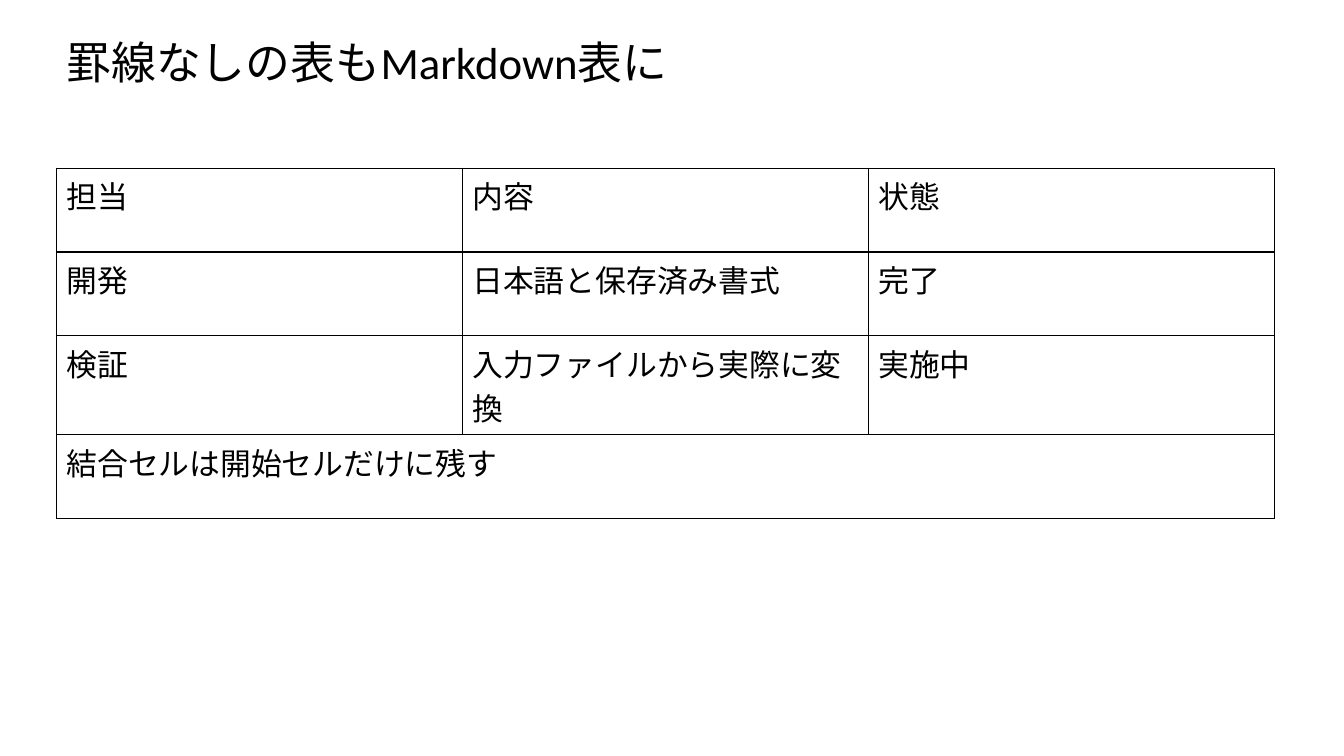
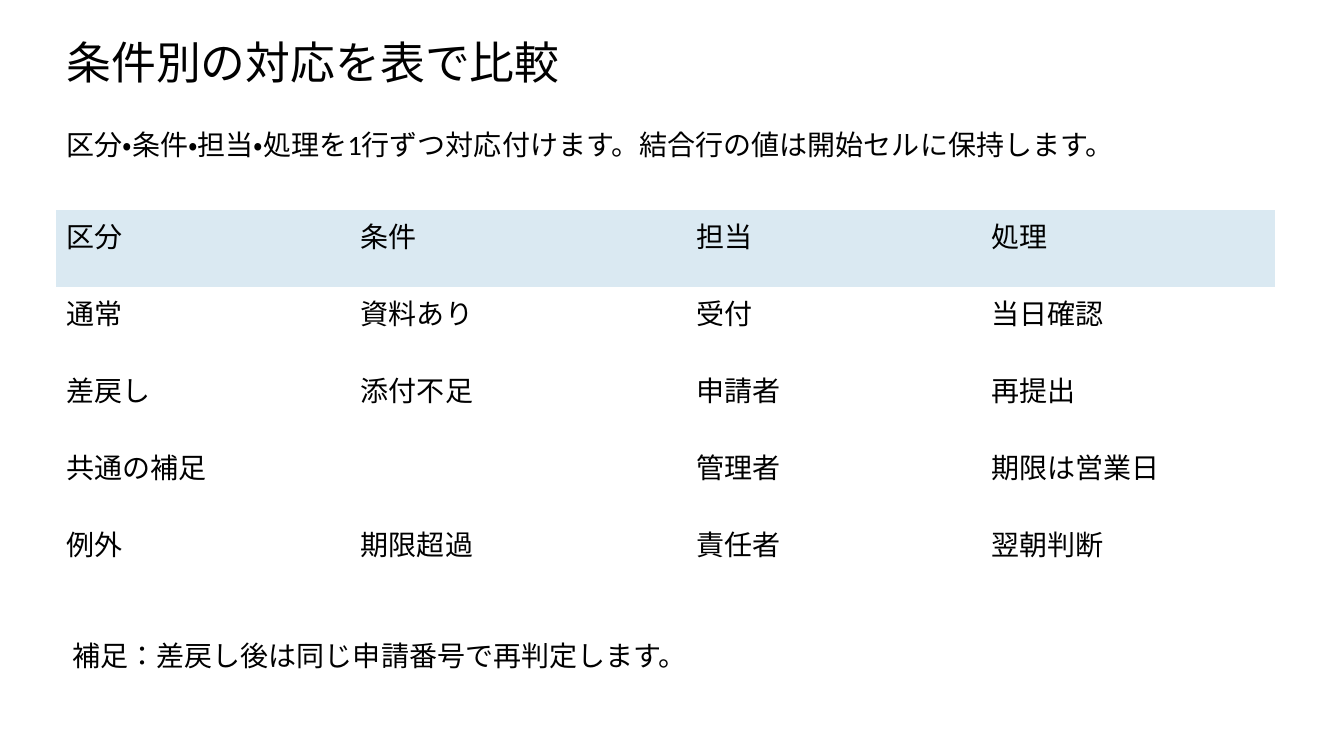
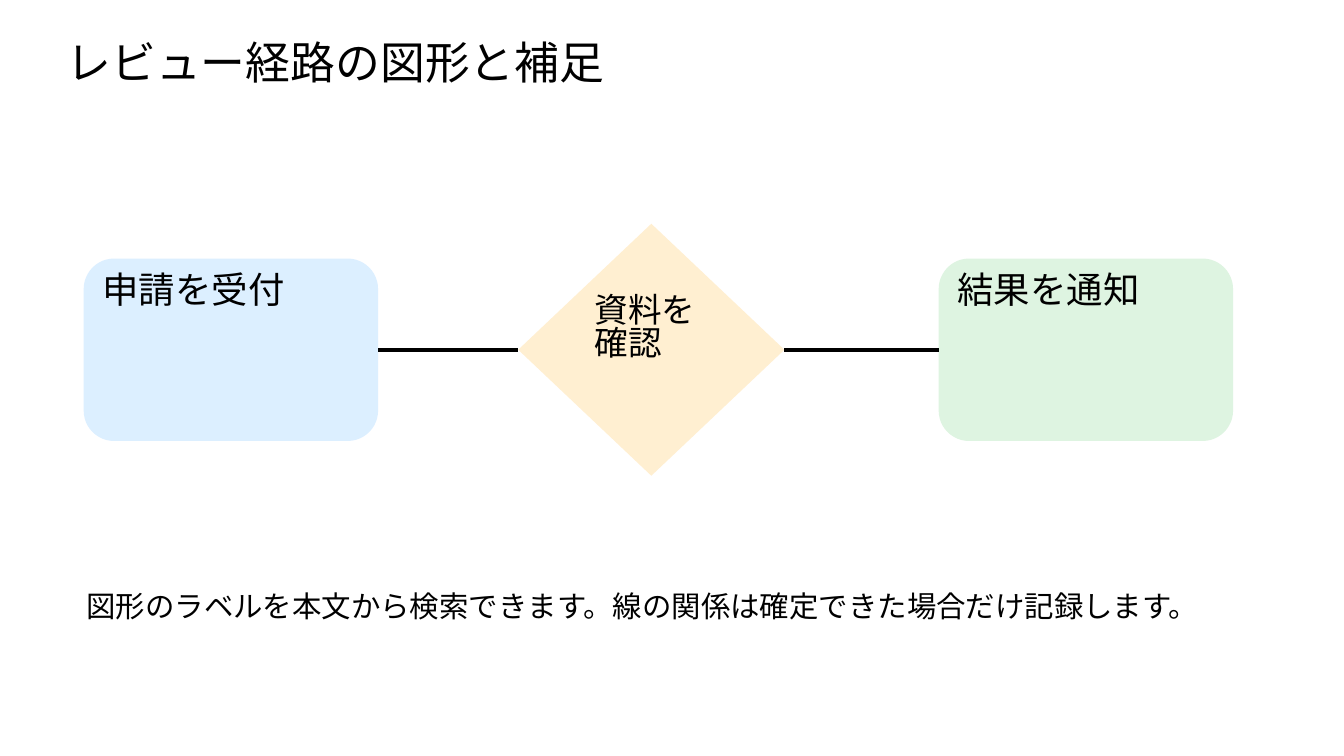
from dataclasses import dataclass

from lxml import etree
from pptx import Presentation
from pptx.dml.color import RGBColor
from pptx.enum.lang import MSO_LANGUAGE_ID
from pptx.enum.shapes import MSO_CONNECTOR, MSO_SHAPE
from pptx.enum.text import MSO_ANCHOR, MSO_AUTO_SIZE, PP_ALIGN
from pptx.oxml import parse_xml
from pptx.oxml.ns import nsdecls, qn
from pptx.util import Inches, Pt

STRAIGHT = MSO_CONNECTOR.STRAIGHT
ROUNDED = MSO_SHAPE.ROUNDED_RECTANGLE
DIAMOND = MSO_SHAPE.DIAMOND
TOP = MSO_ANCHOR.TOP
LEFT = PP_ALIGN.LEFT
NO_AUTOFIT = MSO_AUTO_SIZE.NONE
JAPANESE = MSO_LANGUAGE_ID.JAPANESE
TITLE_ONLY = 5
LEFT_SITE, RIGHT_SITE = 1, 3
PLAIN_TABLE_STYLE = "{2D5ABB26-0587-4C30-8999-92F81FD0307C}"


@dataclass(frozen=True)
class Theme:
    font: str = "Calibri"
    ink: str = "000000"
    header: str = "DAE9F2"
    intake: str = "DCEFFF"
    check: str = "FFEFD1"
    result: str = "DEF4E1"
    title_size: int = 32
    step_size: int = 26
    check_size: int = 24
    grid_size: int = 22
    caption_size: int = 21
    body_size: int = 20
    line_spacing: float = 0.9
    tight_spacing: float = 0.82
    margin: float = 0.56
    table_width: float = 12.08


THEME = Theme()


# Text
def write(frame, text, size, spacing=None):
    frame.text = text
    paragraph = frame.paragraphs[0]
    paragraph.alignment = LEFT
    if spacing:
        paragraph.line_spacing = spacing
    for run in paragraph.runs:
        font = run.font
        font.name = THEME.font
        font.size = Pt(size)
        font.color.rgb = RGBColor.from_string(THEME.ink)
        font.language_id = JAPANESE


def write_body(frame, text, size, spacing=THEME.line_spacing):
    frame.word_wrap = True
    frame.auto_size = NO_AUTOFIT
    frame.vertical_anchor = TOP
    write(frame, text, size, spacing)


def add_titled_slide(prs, text):
    slide = prs.slides.add_slide(prs.slide_layouts[TITLE_ONLY])
    title = slide.shapes.title
    title.left, title.top = Inches(THEME.margin), Inches(0.35)
    title.width, title.height = Inches(12.22), Inches(0.83)
    write_body(title.text_frame, text, THEME.title_size)
    return slide


def add_caption(slide, text, left, top, width, height, size=THEME.body_size):
    caption = slide.shapes.add_textbox(
        Inches(left), Inches(top), Inches(width), Inches(height))
    write_body(caption.text_frame, text, size)


# Tables
def add_borders(cell):
    properties = cell._tc.get_or_add_tcPr()
    for position, side in enumerate(("lnL", "lnR", "lnT", "lnB")):
        properties.insert(position, parse_xml(
            f'<a:{side} {nsdecls("a")} w="{Pt(1)}"><a:solidFill>'
            f'<a:srgbClr val="{THEME.ink}"/></a:solidFill></a:{side}>'))


def add_plain_table(slide, rows, top, widths, row_height, size,
                    merge, header_fill=None, bordered=False):
    """Build a table; merge is (row, first column, last column)."""
    table = slide.shapes.add_table(
        len(rows), len(widths), Inches(THEME.margin), Inches(top),
        Inches(sum(widths)), Inches(row_height * len(rows))).table
    table.first_row = table.horz_banding = False
    table._tbl.tblPr.find(qn("a:tableStyleId")).text = PLAIN_TABLE_STYLE
    for column, width in zip(table.columns, widths):
        column.width = Inches(width)
    for r, values in enumerate(rows):
        table.rows[r].height = Inches(row_height)
        for c, value in enumerate(values):
            cell = table.cell(r, c)
            if value:
                write(cell.text_frame, value, size)
            if r == 0 and header_fill:
                cell.fill.solid()
                cell.fill.fore_color.rgb = RGBColor.from_string(header_fill)
            else:
                cell.fill.background()
            if bordered:
                add_borders(cell)
    row, first, last = merge
    table.cell(row, first).merge(table.cell(row, last))


# Flow diagram
def add_step(flow, kind, text, left, width, height, fill, size,
             spacing=THEME.line_spacing):
    middle = 3.47
    step = flow.shapes.add_shape(
        kind, Inches(left), Inches(middle - height / 2),
        Inches(width), Inches(height))
    step.shadow.inherit = False
    step.fill.solid()
    step.fill.fore_color.rgb = RGBColor.from_string(fill)
    step.line.fill.background()
    write_body(step.text_frame, text, size, spacing)
    return step


def link(flow, source, target):
    line = flow.shapes.add_connector(STRAIGHT, 0, 0, 0, 0)
    line.begin_connect(source, RIGHT_SITE)
    line.end_connect(target, LEFT_SITE)
    line.line.color.rgb = RGBColor.from_string(THEME.ink)
    line.line.width = Pt(3)
    etree.SubElement(line._element.spPr, qn("a:effectLst"))


# Slides
def build_grid_slide(prs):
    slide = add_titled_slide(prs, "罫線なしの表もMarkdown表に")
    rows = [
        ("担当", "内容", "状態"),
        ("開発", "日本語と保存済み書式", "完了"),
        ("検証", "入力ファイルから実際に変換", "実施中"),
        ("結合セルは開始セルだけに残す", "", ""),
    ]
    add_plain_table(slide, rows, 1.67, [THEME.table_width / 3] * 3, 0.83,
                    THEME.grid_size, merge=(3, 0, 2), bordered=True)


def build_conditions_slide(prs):
    slide = add_titled_slide(prs, "条件別の対応を表で比較")
    add_caption(
        slide,
        "区分・条件・担当・処理を1行ずつ対応付けます。結合行の値は開始セルに保持します。",
        THEME.margin, 1.25, THEME.table_width, 0.67)
    rows = [
        ("区分", "条件", "担当", "処理"),
        ("通常", "資料あり", "受付", "当日確認"),
        ("差戻し", "添付不足", "申請者", "再提出"),
        ("共通の補足", "", "管理者", "期限は営業日"),
        ("例外", "期限超過", "責任者", "翌朝判断"),
    ]
    add_plain_table(slide, rows, 2.08, [2.92, 3.33, 2.92, 2.92], 0.764,
                    THEME.body_size, merge=(3, 0, 1),
                    header_fill=THEME.header)
    add_caption(slide, "補足：差戻し後は同じ申請番号で再判定します。",
                0.62, 6.32, 11.81, 0.61)


def build_review_slide(prs):
    slide = add_titled_slide(prs, "レビュー経路の図形と補足")
    flow = slide.shapes.add_group_shape()
    intake = add_step(flow, ROUNDED, "申請を受付", 0.83, 2.92, 1.81,
                      THEME.intake, THEME.step_size)
    check = add_step(flow, DIAMOND, "資料を確認", 5.14, 2.64, 2.5,
                     THEME.check, THEME.check_size, THEME.tight_spacing)
    check.text_frame.margin_top = Inches(0.09)
    result = add_step(flow, ROUNDED, "結果を通知", 9.31, 2.92, 1.81,
                      THEME.result, THEME.step_size)
    link(flow, intake, check)
    link(flow, check, result)
    add_caption(
        slide,
        "図形のラベルを本文から検索できます。線の関係は確定できた場合だけ記録します。",
        0.76, 5.83, 11.94, 1, THEME.caption_size)


def main():
    prs = Presentation()
    prs.slide_width, prs.slide_height = Inches(13.33), Inches(7.5)
    build_grid_slide(prs)
    build_conditions_slide(prs)
    build_review_slide(prs)
    prs.save("out.pptx")


if __name__ == "__main__":
    main()
